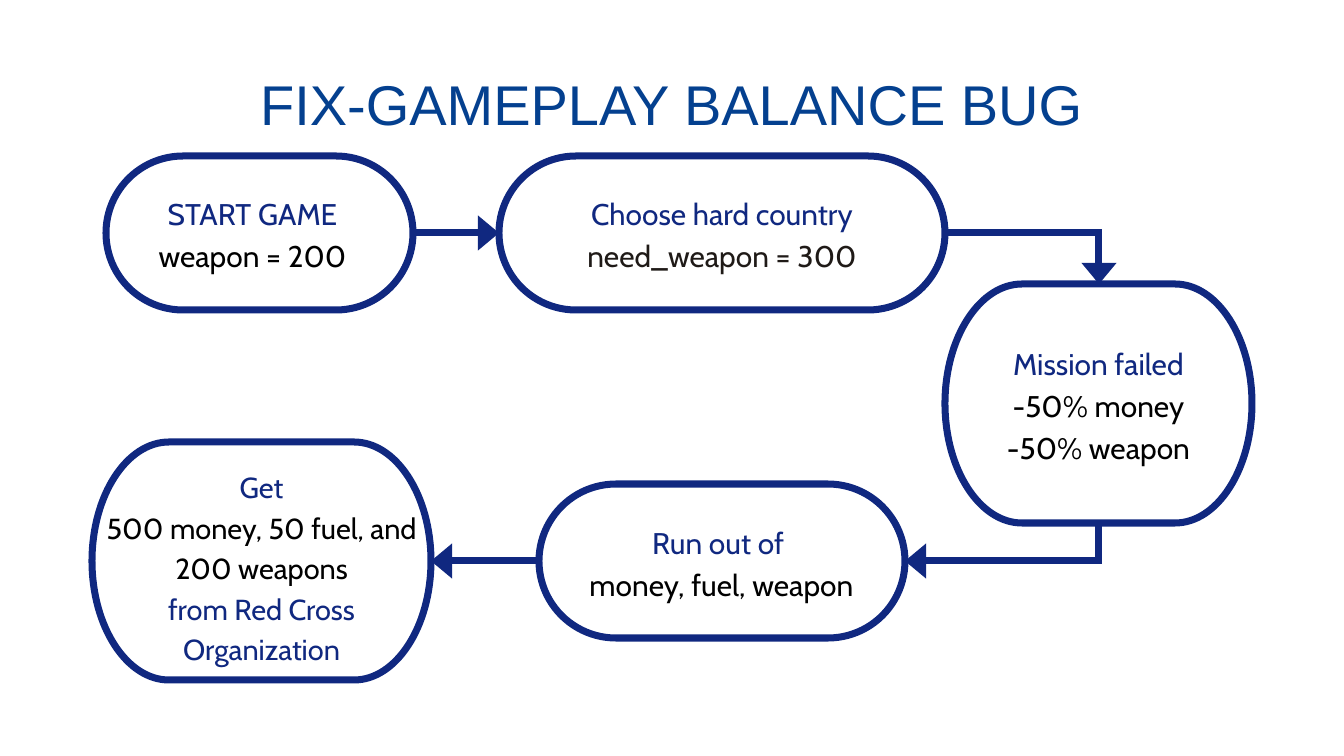
from pptx import Presentation
from pptx.dml.color import RGBColor
from pptx.enum.shapes import MSO_CONNECTOR as Conn, MSO_SHAPE as Shp
from pptx.enum.text import MSO_ANCHOR as Anchor, PP_ALIGN as Align
from pptx.oxml.ns import qn
from pptx.util import Pt
from lxml.etree import SubElement

NAVY = RGBColor(0x10, 0x28, 0x80)
BLUE = RGBColor(0x04, 0x40, 0x8F)
INK = RGBColor(0x1F, 0x1A, 0x17)
BLACK = RGBColor(0, 0, 0)
WHITE = RGBColor(255, 255, 255)

TITLE = "FIX-GAMEPLAY BALANCE BUG"
RAD = 77  # corner width; a node twice as high has round ends
BEND = 0.55  # pull of a curve towards its corner

# name: node box, text box, text size, lines
NODES = {
    "start": ((106, 156, 307, 154), (151, 190, 203, 81), 32,
              [("START GAME", NAVY), ("weapon = 200", BLACK)]),
    "choose": ((499, 156, 446, 154), (569, 190, 306, 81), 32,
               [("Choose hard country", NAVY), ("need_weapon = 300", INK)]),
    "fail": ((945, 284, 307, 239), (997, 340, 203, 122), 32,
             [("Mission failed", NAVY), ("-50% money", BLACK),
              ("-50% weapon", BLACK)]),
    "run": ((539, 484, 366, 154), (570, 519, 303, 81), 32,
            [("Run out of ", NAVY), ("money, fuel, weapon", BLACK)]),
    "get": ((92, 442, 339, 238), (101, 464, 321, 197), 31,
            [("Get", NAVY), ("500 money, 50 fuel, and 200 weapons", BLACK),
             ("from Red Cross Organization", NAVY)]),
}

# from, to, arrowhead, (node, side) joined at each end
TOP, LOW, TURN = 233, 561, 1099  # row centres and the corner column
LINKS = [
    ((413, TOP), (499, TOP), True, ("start", 3), ("choose", 1)),
    ((539, LOW), (431, LOW), True, ("run", 1), None),
    ((945, TOP), (TURN + 3, TOP), False, ("choose", 3), None),
    ((TURN, TOP - 3), (TURN, 284), True, None, None),
    ((TURN, 521), (TURN, LOW + 3), False, None, None),
    ((TURN, LOW), (905, LOW), True, None, ("run", 3)),
]


def px(n):
    return round(n * 914400 / 67.2)


def place(shape, box):
    shape.left, shape.top, shape.width, shape.height = map(px, box)


def write(frame, lines, size, font):
    frame.word_wrap = True
    frame.vertical_anchor = Anchor.TOP
    frame.margin_left = frame.margin_right = 0
    frame.margin_top = frame.margin_bottom = 0
    for i, (text, color) in enumerate(lines):
        para = frame.add_paragraph() if i else frame.paragraphs[0]
        para.alignment = Align.CENTER
        para.line_spacing = Pt(size * 1.4)
        para.space_before = Pt(0)
        run = para.add_run()
        run.text = text
        run.font.name, run.font.size = font, Pt(size)
        run.font.color.rgb = color


def add_barrel(x, y, w, h):
    """A box whose four corners are quarter ellipses."""
    left, right, mid = RAD, w - RAD, h / 2
    pts = [(left, 0), (right, 0), (w, mid), (right, h),
           (left, h), (0, mid), (left, 0)]
    pts = [(px(a), px(b)) for a, b in pts]
    pen = shapes.build_freeform(*pts[0])
    pen.add_line_segments(pts[1:], close=True)
    node = pen.convert_to_shape(px(x), px(y))

    # Turn the corner segments into curves
    segs = list(node._element.iter(qn("a:lnTo")))
    for i in (2, 3, 5, 6):
        p, q = pts[i - 1], pts[i]
        corner = (px(w if i < 4 else 0), px(h if i in (3, 5) else 0))
        pulls = [tuple(round(a + (c - a) * BEND) for a, c in zip(end, corner))
                 for end in (p, q)]
        seg = segs[i - 1]
        curve = SubElement(seg.getparent(), qn("a:cubicBezTo"))
        for a, b in (*pulls, q):
            SubElement(curve, qn("a:pt"), x=str(a), y=str(b))
        seg.getparent().replace(seg, curve)
    return node


def add_node(box):
    if box[3] == 2 * RAD:
        node = shapes.add_shape(Shp.ROUNDED_RECTANGLE, *map(px, box))
        node.adjustments[0] = 0.5
    else:
        node = add_barrel(*box)
    node.shadow.inherit = False
    node.fill.solid()
    node.fill.fore_color.rgb = WHITE
    node.line.color.rgb = NAVY
    node.line.width = Pt(7.5)
    return node


def add_link(start, end, arrow, source, target):
    link = shapes.add_connector(Conn.STRAIGHT, *map(px, start + end))
    if source:
        link.begin_connect(nodes[source[0]], source[1])
    if target:
        link.end_connect(nodes[target[0]], target[1])
    link.line.color.rgb = NAVY
    link.line.width = Pt(7.5)
    if arrow:
        SubElement(link.line._get_or_add_ln(), qn("a:tailEnd"),
                   type="triangle", w="lg", len="med")
    SubElement(link._element.spPr, qn("a:effectLst"))


prs = Presentation()
prs.slide_width, prs.slide_height = px(1344), px(756)
slide = prs.slides.add_slide(prs.slide_layouts[5])
shapes = slide.shapes

# Title
place(shapes.title, (128, 58, 1087, 85))
write(shapes.title.text_frame, [(TITLE, BLUE)], 60, "Arial")

# Nodes with their text
nodes = {}
for name, (box, area, size, lines) in NODES.items():
    nodes[name] = add_node(box)
    label = shapes.add_textbox(*map(px, area))
    write(label.text_frame, lines, size, "Cabin")

# Arrows
for link in LINKS:
    add_link(*link)

prs.save("out.pptx")
